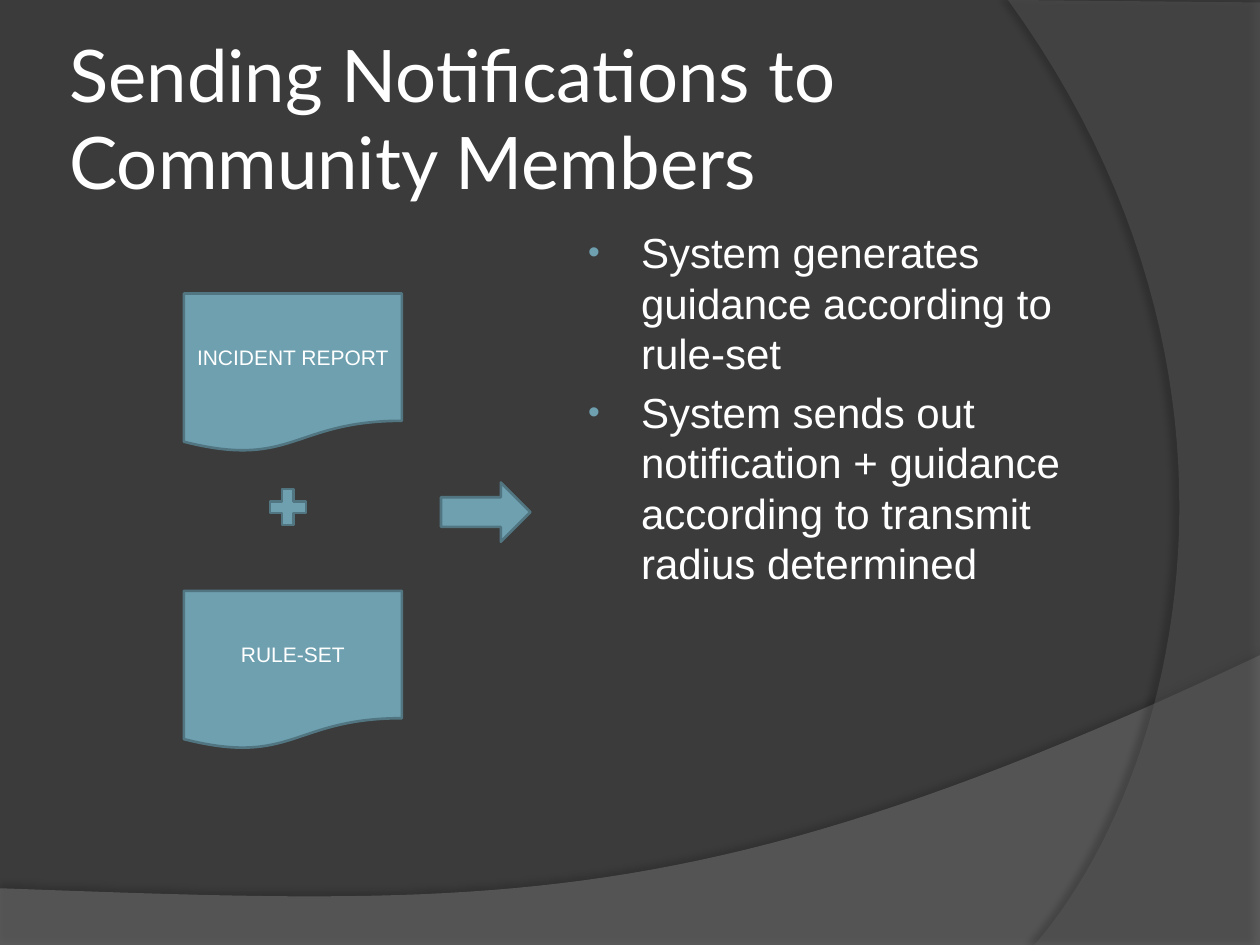
import pptx
import pptx.dml.color
import pptx.enum.shapes
import pptx.enum.text
import pptx.oxml.ns
import pptx.util
from lxml import etree

Inches = pptx.util.Inches
Pt = pptx.util.Pt
RGBColor = pptx.dml.color.RGBColor
MSO_SHAPE = pptx.enum.shapes.MSO_SHAPE
MSO_ANCHOR = pptx.enum.text.MSO_ANCHOR
PP_ALIGN = pptx.enum.text.PP_ALIGN

BACKGROUND = RGBColor(0x3B, 0x3B, 0x3B)
WHITE = RGBColor(0xFF, 0xFF, 0xFF)
BLUE = RGBColor(0x6E, 0xA0, 0xB0)
DARK_BLUE = RGBColor(0x51, 0x76, 0x82)
LOWER_GRAY = RGBColor(0x7F, 0x7F, 0x7F)
RIGHT_GRAY = RGBColor(0x5E, 0x5E, 0x5E)


def add_xml(parent, tag, **attributes):
    return etree.SubElement(parent, pptx.oxml.ns.qn(tag), attributes)


def bezier(start, control1, control2, end, steps=48):
    """Points along a cubic curve, both ends included."""
    points = []
    for step in range(steps + 1):
        t = step / steps
        weights = ((1 - t) ** 3, 3 * t * (1 - t) ** 2, 3 * t ** 2 * (1 - t), t ** 3)
        corners = (start, control1, control2, end)
        points.append(tuple(sum(w * c[axis] for w, c in zip(weights, corners))
                            for axis in (0, 1)))
    return points


class SlideBuilder:
    heading_font = "Lato"
    body_font = "Arial"

    def __init__(self, slide):
        self.slide = slide
        slide.background.fill.solid()
        slide.background.fill.fore_color.rgb = BACKGROUND

    def set_font(self, paragraph, name, size):
        paragraph.font.name = name
        paragraph.font.size = Pt(size)
        paragraph.font.color.rgb = WHITE

    def swoosh(self, points, color, opacity, shadow_opacity, distance, direction):
        points = [(Inches(x), Inches(y)) for x, y in points]
        builder = self.slide.shapes.build_freeform(*points[0])
        builder.add_line_segments(points[1:], close=True)
        shape = builder.convert_to_shape()
        shape.fill.solid()
        shape.fill.fore_color.rgb = color
        shape.line.fill.background()
        shape.shadow.inherit = False
        properties = shape.element.spPr
        fill_color = properties.xpath("./a:solidFill/a:srgbClr")[0]
        add_xml(fill_color, "a:alpha", val=str(opacity * 1000))
        shadow = add_xml(properties.xpath("./a:effectLst")[0], "a:outerShdw",
                         blurRad=str(Pt(4)), dist=str(Pt(distance)),
                         dir=str(direction * 60000), algn="ctr", rotWithShape="0")
        shadow_color = add_xml(shadow, "a:srgbClr", val="000000")
        add_xml(shadow_color, "a:alpha", val=str(shadow_opacity * 1000))

    def text_box(self, left, top, width, height):
        box = self.slide.shapes.add_textbox(
            Inches(left), Inches(top), Inches(width), Inches(height))
        box.text_frame.word_wrap = True
        return box.text_frame

    def title(self, text, *place):
        frame = self.text_box(*place)
        frame.vertical_anchor = MSO_ANCHOR.MIDDLE
        frame.margin_left = frame.margin_right = Inches(0.05)
        frame.text = text
        self.set_font(frame.paragraphs[0], self.heading_font, 41.4)

    def bullets(self, items, *place):
        frame = self.text_box(*place)
        frame.text = "\n".join(items)
        for paragraph in frame.paragraphs:
            paragraph.space_before = Pt(4.8)
            properties = paragraph._p.get_or_add_pPr()
            properties.set("marL", str(Inches(0.46)))
            properties.set("indent", str(Inches(-0.42)))
            add_xml(add_xml(properties, "a:buClr"), "a:srgbClr", val=str(BLUE))
            add_xml(properties, "a:buSzPct", val="80000")
            add_xml(properties, "a:buFont", typeface="Arial")
            add_xml(properties, "a:buChar", char="•")
            self.set_font(paragraph, self.body_font, 24)

    def shape(self, kind, left, top, width, height, text=None):
        shape = self.slide.shapes.add_shape(
            kind, Inches(left), Inches(top), Inches(width), Inches(height))
        shape.shadow.inherit = False
        shape.fill.solid()
        shape.fill.fore_color.rgb = BLUE
        shape.line.color.rgb = DARK_BLUE
        shape.line.width = Pt(1.5)
        if text:
            frame = shape.text_frame
            frame.word_wrap = True
            frame.vertical_anchor = MSO_ANCHOR.MIDDLE
            frame.text = text
            frame.paragraphs[0].alignment = PP_ALIGN.CENTER
            self.set_font(frame.paragraphs[0], self.body_font, 12)


def main():
    presentation = pptx.Presentation()
    presentation.slide_width = Inches(10)
    presentation.slide_height = Inches(7.5)
    builder = SlideBuilder(presentation.slides.add_slide(presentation.slide_layouts[6]))

    # Background swooshes
    lower_edge = bezier((10, 5.2), (5.59, 7.29), (3.91, 7.19), (0, 7.05))
    builder.swoosh([(0, 7.51), (10, 7.51)] + lower_edge, LOWER_GRAY, 45, 35, 3.5, 270)
    right_edge = bezier((8.21, 7.5), (9.35, 6.19), (10.18, 3), (8, 0))
    builder.swoosh([(10, 0.02), (10, 7.5)] + right_edge, RIGHT_GRAY, 40, 45, 4, 180)

    # Title and bullets
    builder.title("Sending Notifications to Community Members", 0.5, 0.3, 8.17, 1.25)
    builder.bullets(["System generates guidance according to rule-set",
                     "System sends out notification + guidance according to "
                     "transmit radius determined"], 4.53, 1.75, 4.57, 4.95)

    # Incident report plus rule-set leads to guidance
    for top, label in ((2.33, "INCIDENT REPORT"), (4.69, "RULE-SET")):
        builder.shape(MSO_SHAPE.FLOWCHART_DOCUMENT, 1.46, top, 1.73, 1.26, label)
    builder.shape(MSO_SHAPE.MATH_PLUS, 2.09, 3.83, 0.39, 0.39)
    builder.shape(MSO_SHAPE.RIGHT_ARROW, 3.5, 3.83, 0.71, 0.47)

    presentation.save("out.pptx")


if __name__ == "__main__":
    main()
